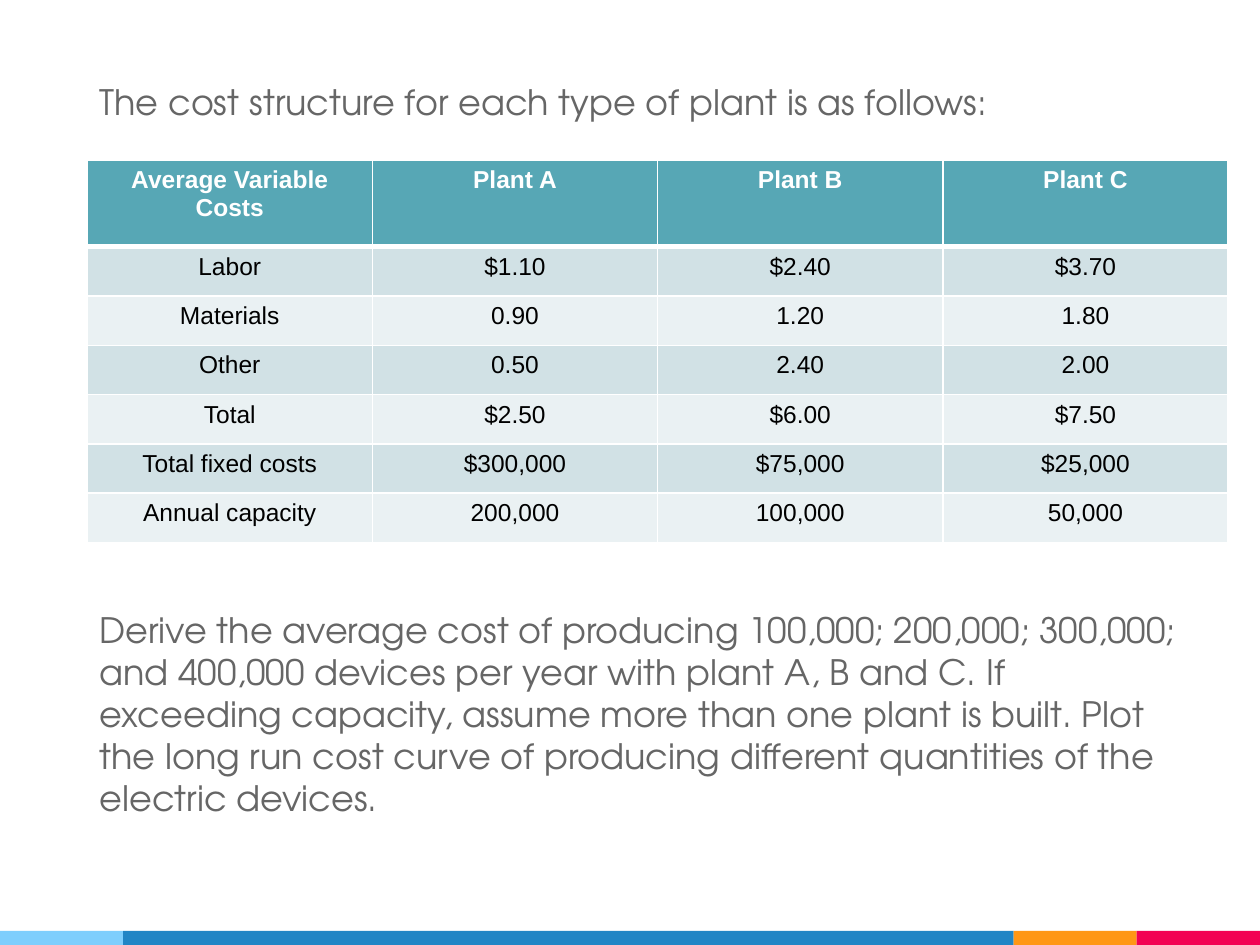
"""Build a slide with the cost structure of three plant types and an exercise."""
from lxml import etree
from pptx import Presentation
from pptx import util as u
from pptx.dml.color import RGBColor
from pptx.enum import shapes, text
from pptx.oxml import ns

WHITE = RGBColor(0xFF, 0xFF, 0xFF)
BLACK = RGBColor(0x00, 0x00, 0x00)
GRAY = RGBColor(0x66, 0x66, 0x66)
TEAL = RGBColor(0x57, 0xA7, 0xB5)
BAND_DARK = RGBColor(0xD1, 0xE1, 0xE5)
BAND_LIGHT = RGBColor(0xEA, 0xF1, 0xF3)
SKY = RGBColor(0x7E, 0xCE, 0xFD)
BLUE = RGBColor(0x21, 0x85, 0xC5)
ORANGE = RGBColor(0xFF, 0x97, 0x15)
RED = RGBColor(0xF2, 0x02, 0x53)

LEFT = 49.8
COLUMN_WIDTH = 163
HEADER_HEIGHT = 49.4
ROW_HEIGHT = 28.2


def add_border(cell, side, width):
    line = etree.SubElement(cell._tc.get_or_add_tcPr(), ns.qn(f"a:ln{side}"), w=str(u.Pt(width)))
    fill = etree.SubElement(line, ns.qn("a:solidFill"))
    etree.SubElement(fill, ns.qn("a:srgbClr"), val=str(WHITE))


def add_text(slide, top, width, height, wording):
    box = slide.shapes.add_textbox(u.Pt(LEFT), u.Pt(top), u.Pt(width), u.Pt(height))
    frame = box.text_frame
    frame.word_wrap = True
    frame.auto_size = text.MSO_AUTO_SIZE.SHAPE_TO_FIT_TEXT
    frame.margin_left = frame.margin_right = u.Pt(7.2)
    frame.margin_top = frame.margin_bottom = u.Pt(7.2)
    run = frame.paragraphs[0].add_run()
    run.text = wording
    run.font.name = "TeX Gyre Adventor"
    run.font.size = u.Pt(20)
    run.font.color.rgb = GRAY


presentation = Presentation()
presentation.slide_width = u.Pt(720)
presentation.slide_height = u.Pt(540)
slide = presentation.slides.add_slide(presentation.slide_layouts[6])

stripe_left = 0
for width, color in [(70.3, SKY), (508.9, BLUE), (70.4, ORANGE), (70.4, RED)]:
    stripe = slide.shapes.add_shape(
        shapes.MSO_SHAPE.RECTANGLE, u.Pt(stripe_left), u.Pt(532), u.Pt(width), u.Pt(8))
    stripe.shadow.inherit = False
    stripe.fill.solid()
    stripe.fill.fore_color.rgb = color
    stripe.line.fill.background()
    stripe_left += width

costs = [
    ("Average Variable Costs", "Plant A", "Plant B", "Plant C"),
    ("Labor", "$1.10", "$2.40", "$3.70"),
    ("Materials", "0.90", "1.20", "1.80"),
    ("Other", "0.50", "2.40", "2.00"),
    ("Total", "$2.50", "$6.00", "$7.50"),
    ("Total fixed costs", "$300,000", "$75,000", "$25,000"),
    ("Annual capacity", "200,000", "100,000", "50,000"),
]
table_height = HEADER_HEIGHT + ROW_HEIGHT * (len(costs) - 1)
table = slide.shapes.add_table(
    len(costs), len(costs[0]), u.Pt(LEFT), u.Pt(91.6),
    u.Pt(COLUMN_WIDTH * len(costs[0])), u.Pt(table_height)).table
for column in table.columns:
    column.width = u.Pt(COLUMN_WIDTH)

for row_index, values in enumerate(costs):
    is_header = row_index == 0
    table.rows[row_index].height = u.Pt(HEADER_HEIGHT if is_header else ROW_HEIGHT)
    band = BAND_DARK if row_index % 2 else BAND_LIGHT
    for column_index, value in enumerate(values):
        cell = table.cell(row_index, column_index)
        add_border(cell, "L", 1)
        add_border(cell, "R", 1)
        add_border(cell, "T", 3 if row_index == 1 else 1)
        add_border(cell, "B", 3 if is_header else 1)
        cell.fill.solid()
        cell.fill.fore_color.rgb = TEAL if is_header else band
        paragraph = cell.text_frame.paragraphs[0]
        paragraph.alignment = text.PP_ALIGN.CENTER
        run = paragraph.add_run()
        run.text = value
        run.font.name = "Arial"
        run.font.size = u.Pt(14)
        run.font.bold = is_header
        run.font.color.rgb = WHITE if is_header else BLACK

add_text(slide, 340.6, 640, 135.4,
         "Derive the average cost of producing 100,000; 200,000; 300,000; and 400,000 devices "
         "per year with plant A, B and C. If exceeding capacity, assume more than one plant is "
         "built. Plot the long run cost curve of producing different quantities of the electric "
         "devices.")
add_text(slide, 38.9, 577.4, 38.9, "The cost structure for each type of plant is as follows:")

presentation.save("out.pptx")
